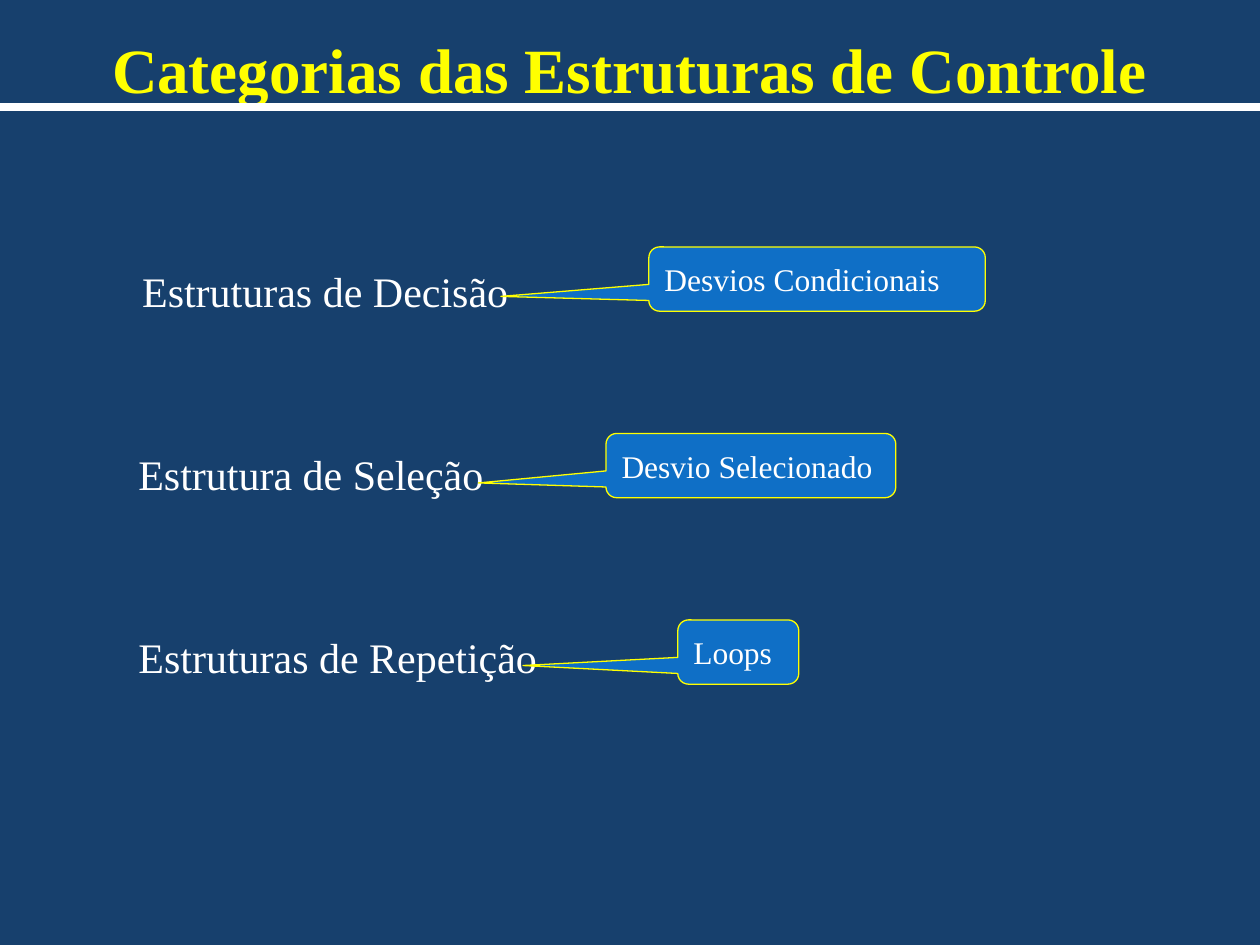
from lxml.etree import SubElement
from pptx import Presentation
from pptx.dml.color import RGBColor
from pptx.enum.shapes import MSO_CONNECTOR as CONNECTOR, MSO_SHAPE as SHAPE
from pptx.enum.text import MSO_ANCHOR as ANCHOR, PP_ALIGN as ALIGN
from pptx.oxml.ns import qn
from pptx.util import Inches, Pt

WHITE, YELLOW, NAVY, BLUE = "FFFFFF", "FFFF00", "17406D", "0F6FC6"


def color(hex_code):
    return RGBColor.from_string(hex_code)


def write(shape, text, size, hex_code=WHITE, bold=False, align=ALIGN.LEFT):
    para = shape.text_frame.paragraphs[0]
    para.alignment = align
    span = para.add_run()
    span.text = text
    span.font.name = "Times New Roman"
    span.font.size = Pt(size)
    span.font.bold = bold
    span.font.color.rgb = color(hex_code)


deck = Presentation()
deck.slide_width, deck.slide_height = Inches(10), Inches(7.5)
page = deck.slides.add_slide(deck.slide_layouts[6])
page.background.fill.solid()
page.background.fill.fore_color.rgb = color(NAVY)

# Title and rule
title = page.shapes.add_textbox(Inches(0.09), Inches(0.11), Inches(9.81), Inches(0.86))
title.text_frame.word_wrap = True
title.text_frame.vertical_anchor = ANCHOR.MIDDLE
write(title, "Categorias das Estruturas de Controle", 36, YELLOW, True, ALIGN.CENTER)

rule = page.shapes.add_connector(
    CONNECTOR.STRAIGHT, Inches(0), Inches(0.85), Inches(10), Inches(0.85))
rule.line.color.rgb = color(WHITE)
rule.line.width = Pt(4.5)
SubElement(rule._element.spPr, qn("a:effectLst"))

# Categories: text, left, top, width
categories = [
    ("Estruturas de Decisão", 1.03, 2.06, 3.13),
    ("Estrutura de Seleção", 1, 3.51, 2.96),
    ("Estruturas de Repetição", 1, 4.96, 3.39),
]
for text, left, top, width in categories:
    label = page.shapes.add_textbox(Inches(left), Inches(top), Inches(width), Inches(0.5))
    label.text_frame.word_wrap = False
    write(label, text, 24)

# Callouts: text, left, width, pointer tip; evenly spaced downwards
callouts = [
    ("Desvios Condicionais", 5.15, 2.67, (-0.94, 0.27)),
    ("Desvio Selecionado", 4.81, 2.3, (-0.94, 0.27)),
    ("Loops", 5.38, 0.96, (-1.78, 0.21)),
]
for row, (text, left, width, tip) in enumerate(callouts):
    callout = page.shapes.add_shape(
        SHAPE.ROUNDED_RECTANGULAR_CALLOUT,
        Inches(left), Inches(1.96 + 1.48 * row), Inches(width), Inches(0.51))
    callout.adjustments[0], callout.adjustments[1] = tip
    callout.shadow.inherit = False
    callout.fill.solid()
    callout.fill.fore_color.rgb = color(BLUE)
    callout.line.color.rgb = color(YELLOW)
    callout.line.width = Pt(0.75)
    callout.text_frame.vertical_anchor = ANCHOR.MIDDLE
    write(callout, text, 18)

deck.save("out.pptx")
